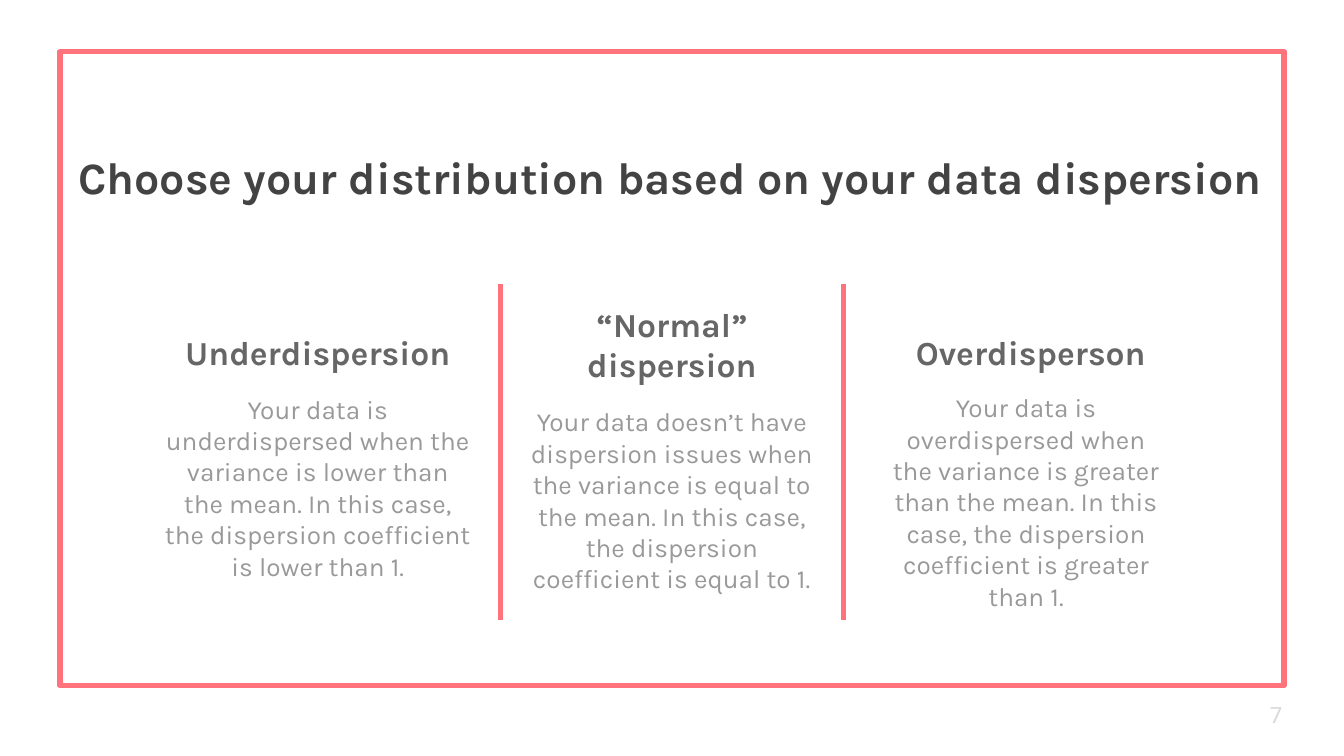
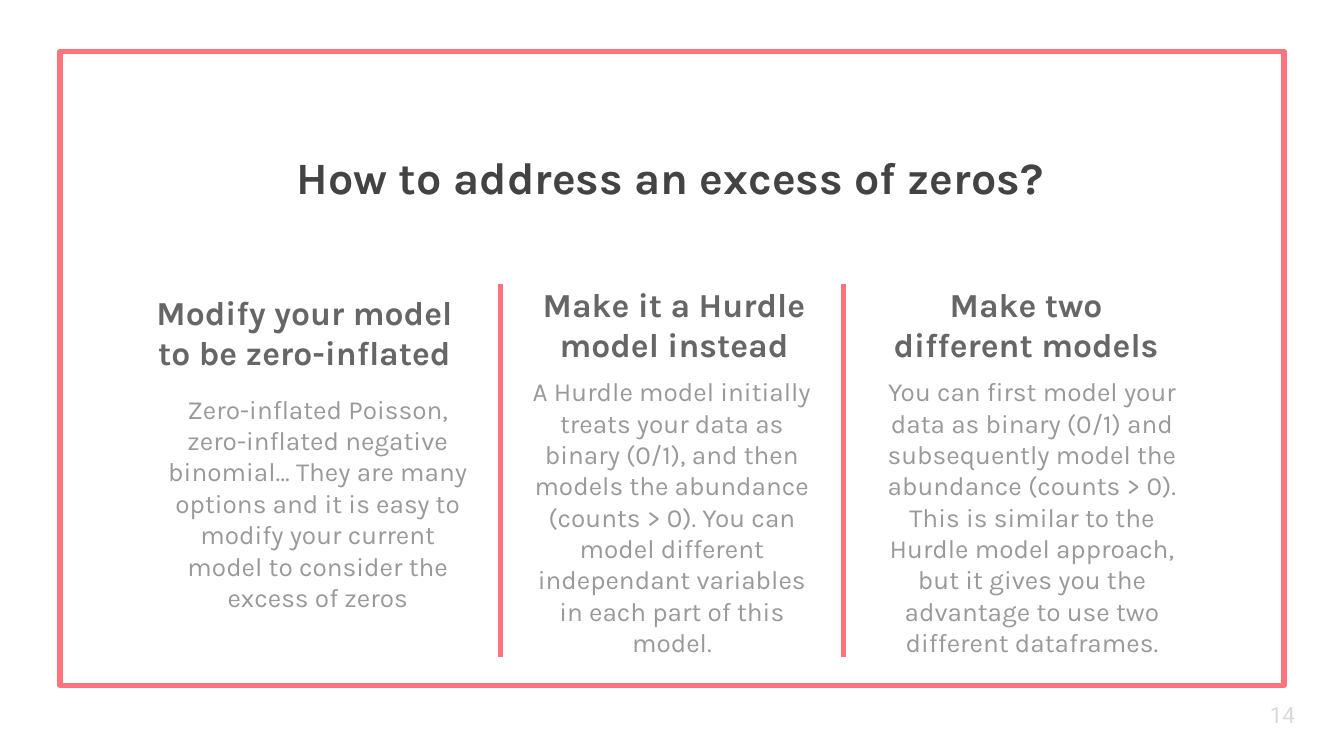
import pptx
import pptx.util
import pptx.dml.color
import pptx.enum.shapes
import pptx.enum.text
import pptx.oxml.ns
import lxml.etree

SCALE = 914400 // 200
INK = {"coral": "FF737D", "title": "434343", "head": "666666", "body": "999999", "page": "D9D9D9"}
ANCHOR = pptx.enum.text.MSO_ANCHOR
ALIGN = pptx.enum.text.PP_ALIGN


def px(*nums):
    return [pptx.util.Emu(num * SCALE) for num in nums]


def fill_text(shape, text, size, tone, bold=False, anchor=ANCHOR.TOP, align=ALIGN.CENTER, face="Karla"):
    frame = shape.text_frame
    frame.word_wrap = True
    frame.auto_size = pptx.enum.text.MSO_AUTO_SIZE.NONE
    frame.vertical_anchor = anchor
    frame.margin_left, frame.margin_top, frame.margin_right, frame.margin_bottom = px(20, 20, 20, 20)
    para = frame.paragraphs[0]
    para.alignment = align
    run = para.add_run()
    run.text = text
    run.font.name = face
    run.font.size = pptx.util.Pt(size)
    run.font.bold = bold
    run.font.color.rgb = pptx.dml.color.RGBColor.from_string(INK[tone])


pages = [
    {
        "title": "Choose your distribution based on your data dispersion",
        "page": "7",
        "foot": 923,
        "cols": [
            ("Underdispersion", (242, 468, 462, 106),
             "Your data is underdispersed when the variance is lower than the mean. "
             "In this case, the dispersion coefficient is lower than 1.", (225, 565, 496, 340)),
            ("“Normal” dispersion", (769, 451, 462, 141),
             "Your data doesn’t have dispersion issues when the variance is equal to the mean. "
             "In this case, the dispersion coefficient is equal to 1.", (769, 584, 462, 340)),
            ("Overdisperson", (1303, 468, 462, 106),
             "Your data is overdispersed when the variance is greater than the mean. "
             "In this case, the dispersion coefficient is greater than 1.", (1296, 563, 462, 340)),
        ],
    },
    {
        "title": "How to address an excess of zeros?",
        "page": "14",
        "foot": 978,
        "cols": [
            ("Modify your model to be zero-inflated", (201, 468, 504, 106),
             "Zero-inflated Poisson, zero-inflated negative binomial… They are many options "
             "and it is easy to modify your current model to consider the excess of zeros",
             (225, 565, 496, 340)),
            ("Make it a Hurdle model instead", (751, 421, 504, 141),
             "A Hurdle model initially treats your data as binary (0/1), and then models the "
             "abundance (counts > 0). You can model different independant variables in each "
             "part of this model.", (769, 539, 462, 454)),
            ("Make two different models", (1296, 421, 462, 141),
             "You can first model your data as binary (0/1) and subsequently model the abundance "
             "(counts > 0). This is similar to the Hurdle model approach, but it gives you the "
             "advantage to use two different dataframes.", (1296, 539, 480, 440)),
        ],
    },
]

deck = pptx.Presentation()
deck.slide_width, deck.slide_height = px(2000, 1125)
coral = pptx.dml.color.RGBColor.from_string(INK["coral"])

for page in pages:
    slide = deck.slides.add_slide(deck.slide_layouts[5])
    shapes = slide.shapes

    border = shapes.add_shape(pptx.enum.shapes.MSO_SHAPE.RECTANGLE, *px(89, 77, 1822, 943))
    border.shadow.inherit = False
    border.fill.background()
    border.line.color.rgb = coral
    border.line.width = pptx.util.Pt(3)

    title = shapes.title
    title.left, title.top, title.width, title.height = px(-3, 203, 2000, 106)
    fill_text(title, page["title"], 24, "title", True)

    for x in (745, 1255):
        rule = shapes.add_connector(pptx.enum.shapes.MSO_CONNECTOR.STRAIGHT, *px(x, 422, x, page["foot"]))
        rule.line.color.rgb = coral
        rule.line.width = pptx.util.Pt(3)
        lxml.etree.SubElement(rule._element.spPr, pptx.oxml.ns.qn("a:effectLst"))

    for head, head_box, body, body_box in page["cols"]:
        fill_text(shapes.add_textbox(*px(*head_box)), head, 18, "head", True, ANCHOR.BOTTOM)
        fill_text(shapes.add_textbox(*px(*body_box)), body, 14, "body")

    number = shapes.add_textbox(*px(1870, 1021, 120, 86))
    fill_text(number, page["page"], 12, "page", False, ANCHOR.MIDDLE, ALIGN.LEFT, "Roboto")

deck.save("out.pptx")
